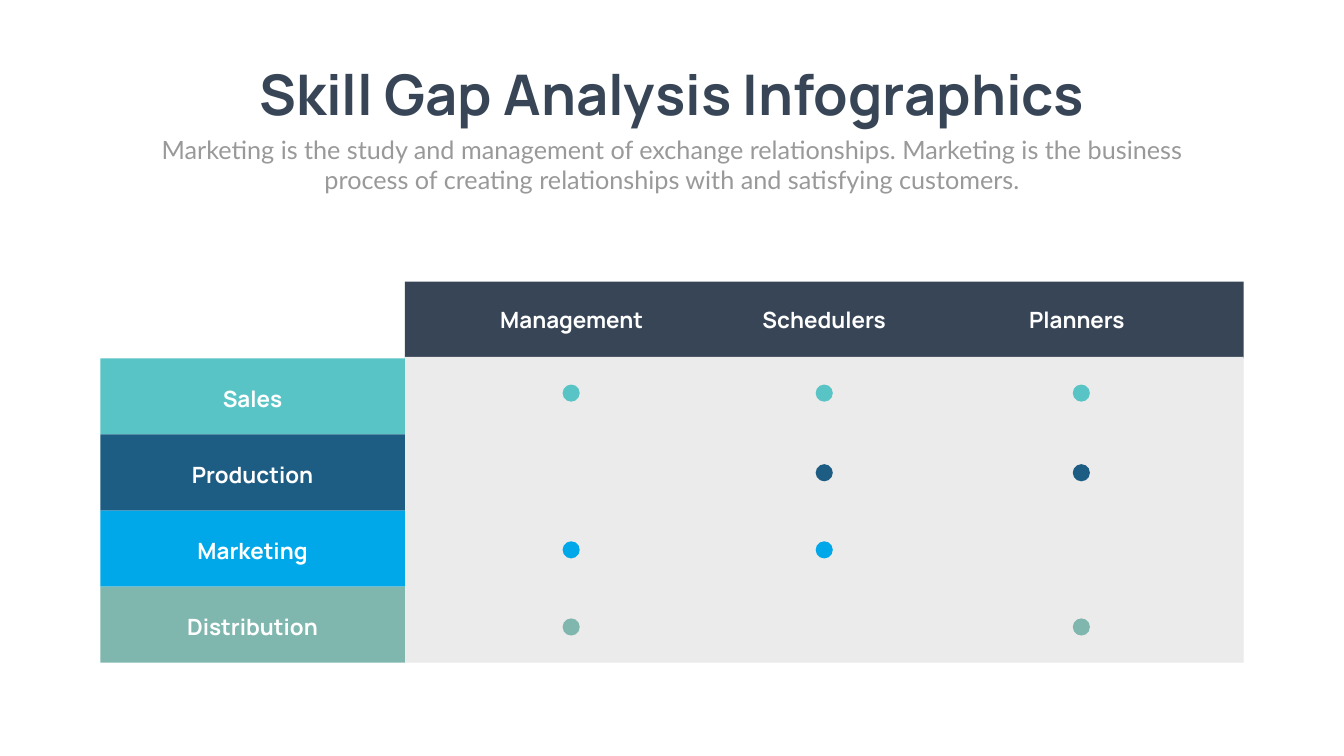
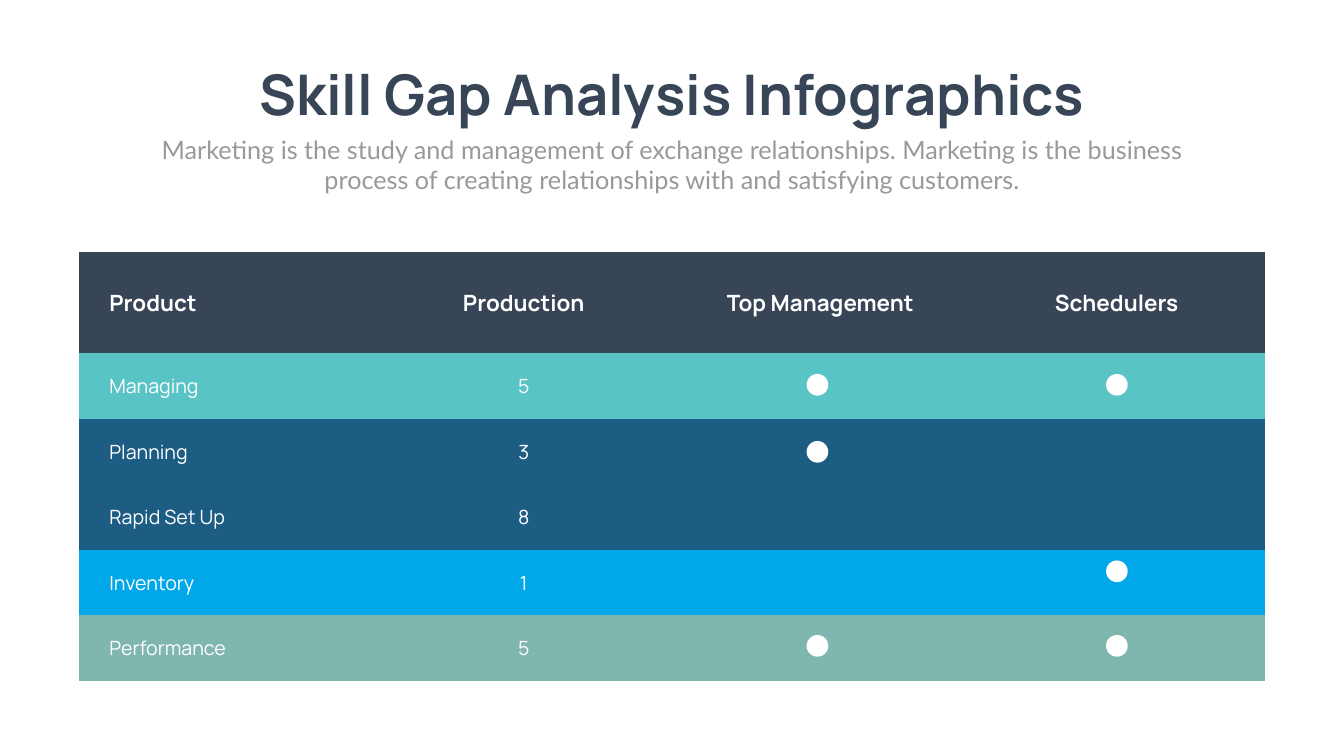
import pptx
import pptx.util
import pptx.dml.color
import pptx.enum.shapes
import pptx.enum.text

Inches = pptx.util.Inches
Shapes = pptx.enum.shapes.MSO_SHAPE
Anchor = pptx.enum.text.MSO_ANCHOR
Align = pptx.enum.text.PP_ALIGN

NAVY, TEAL, BLUE, SKY, SAGE = "374556", "59C4C6", "1D5C83", "01A8E9", "7FB6AE"
WHITE, PAPER, PANEL, GREY = "FFFFFF", "FEFFFE", "EBEBEB", "999999"

TITLE = {"name": "Manrope", "size": pptx.util.Pt(80), "bold": True}
SUBTITLE = {"name": "Lato", "size": pptx.util.Pt(36), "bold": False}
LABEL = {"name": "Manrope", "size": pptx.util.Pt(32), "bold": True}
CELL = {"name": "Manrope", "size": pptx.util.Pt(28), "bold": False}

NO_STYLE_NO_GRID = "{2D5ABB26-0587-4C30-8999-92F81FD0307C}"


def set_color(target, color):
    """Colour a font, or make a fill solid."""
    if hasattr(target, "solid"):
        target.solid()
        target.fore_color.rgb = pptx.dml.color.RGBColor.from_string(color)
    else:
        target.color.rgb = pptx.dml.color.RGBColor.from_string(color)


def write(frame, text, style, color=WHITE, alignment=Align.CENTER):
    frame.text = text
    paragraph = frame.paragraphs[0]
    paragraph.alignment = alignment
    paragraph.space_before = pptx.util.Pt(0)
    font = paragraph.runs[0].font
    for name, value in style.items():
        setattr(font, name, value)
    set_color(font, color)


def add_block(slide, kind, left, top, width, height, color):
    shape = slide.shapes.add_shape(
        kind, Inches(left), Inches(top), Inches(width), Inches(height))
    shape.shadow.inherit = False
    set_color(shape.fill, color)
    shape.line.fill.background()


def add_dot(slide, left, top, size, color):
    add_block(slide, Shapes.OVAL, left, top, size, size, color)


def add_label(slide, left, top, text):
    box = slide.shapes.add_textbox(Inches(left), Inches(top), Inches(3.98), Inches(0.65))
    frame = box.text_frame
    frame.word_wrap = True
    for side in ("left", "top", "right", "bottom"):
        setattr(frame, f"margin_{side}", Inches(0.06))
    write(frame, text, LABEL)


def fill_placeholder(placeholder, box, text, style, color):
    for name, value in zip(("left", "top", "width", "height"), box):
        setattr(placeholder, name, Inches(value))
    frame = placeholder.text_frame
    frame.word_wrap = True
    frame.auto_size = pptx.enum.text.MSO_AUTO_SIZE.NONE
    frame.vertical_anchor = Anchor.TOP
    write(frame, text, style, color)


def add_titled_slide(presentation):
    slide = presentation.slides.add_slide(presentation.slide_layouts[0])
    fill_placeholder(slide.shapes.title, (4.33, 1.14, 18.01, 1.45),
                     "Skill Gap Analysis Infographics", TITLE, NAVY)
    fill_placeholder(slide.placeholders[1], (2.92, 2.61, 20.82, 1.31),
                     "Marketing is the study and management of exchange relationships. "
                     "Marketing is the business process of creating relationships with "
                     "and satisfying customers.", SUBTITLE, GREY)
    return slide


def add_skill_matrix(slide, left, top):
    """Departments down the side, roles across, a dot where they meet."""
    side_width, grid_width, row_height = 6.04, 16.64, 1.51
    roles = ("Management", "Schedulers", "Planners")
    dot_columns = (9.17, 14.19, 19.29)
    departments = (
        ("Sales", TEAL, 2.04, (0, 1, 2)),
        ("Production", BLUE, 3.62, (1, 2)),
        ("Marketing", SKY, 5.15, (0, 1)),
        ("Distribution", SAGE, 6.68, (0, 2)),
    )
    grid_left = left + side_width
    add_block(slide, Shapes.RECTANGLE, grid_left, top, grid_width, 1.52, NAVY)
    add_block(slide, Shapes.RECTANGLE, grid_left, top + 1.49, grid_width, 6.07, PANEL)
    for column, role in enumerate(roles):
        add_label(slide, grid_left + 1.32 + column * 5.01, top + 0.42, role)
    for row, (name, color, dot_top, skilled) in enumerate(departments):
        row_top = top + 1.52 + row * row_height
        add_block(slide, Shapes.RECTANGLE, left, row_top, side_width, row_height, color)
        add_label(slide, left + 1.03, row_top + 0.47, name)
        for column in skilled:
            add_dot(slide, left + dot_columns[column], top + dot_top, 0.34, color)


def add_product_table(slide, left, top, width, height):
    header = ("Product", "Production", "Top Management", "Schedulers")
    products = (
        ("Managing", "5", TEAL),
        ("Planning", "3", BLUE),
        ("Rapid Set Up", "8", BLUE),
        ("Inventory", "1", SKY),
        ("Performance", "5", SAGE),
    )
    rows = [(header, NAVY, LABEL)]
    rows += [((name, count, "", ""), color, CELL) for name, count, color in products]
    table = slide.shapes.add_table(len(rows), len(header), Inches(left), Inches(top),
                                   Inches(width), Inches(height)).table
    table.first_row = table.horz_banding = False
    table._tbl.tblPr[0].text = NO_STYLE_NO_GRID
    header_height = 2
    for column in table.columns:
        column.width = Inches(width / len(header))
    for row, (texts, color, style) in enumerate(rows):
        body_height = (height - header_height) / len(products)
        table.rows[row].height = Inches(body_height if row else header_height)
        for column, text in enumerate(texts):
            cell = table.cell(row, column)
            set_color(cell.fill, color)
            cell.vertical_anchor = Anchor.MIDDLE
            if column == 0:
                cell.margin_left = Inches(0.6)
            if text:
                write(cell.text_frame, text, style,
                      alignment=Align.CENTER if column else Align.LEFT)

    dots = {14.43: (2.41, 3.74, 7.59), 20.37: (2.41, 6.11, 7.59)}
    for dot_left, dot_tops in dots.items():
        for dot_top in dot_tops:
            add_dot(slide, left + dot_left, top + dot_top, 0.43, WHITE)


def main():
    presentation = pptx.Presentation()
    presentation.slide_width = Inches(26.66)
    presentation.slide_height = Inches(15)
    set_color(presentation.slide_master.background.fill, PAPER)
    add_skill_matrix(add_titled_slide(presentation), 1.99, 5.59)
    add_product_table(add_titled_slide(presentation), 1.57, 5.01, 23.52, 8.5)
    presentation.save("out.pptx")


if __name__ == "__main__":
    main()
